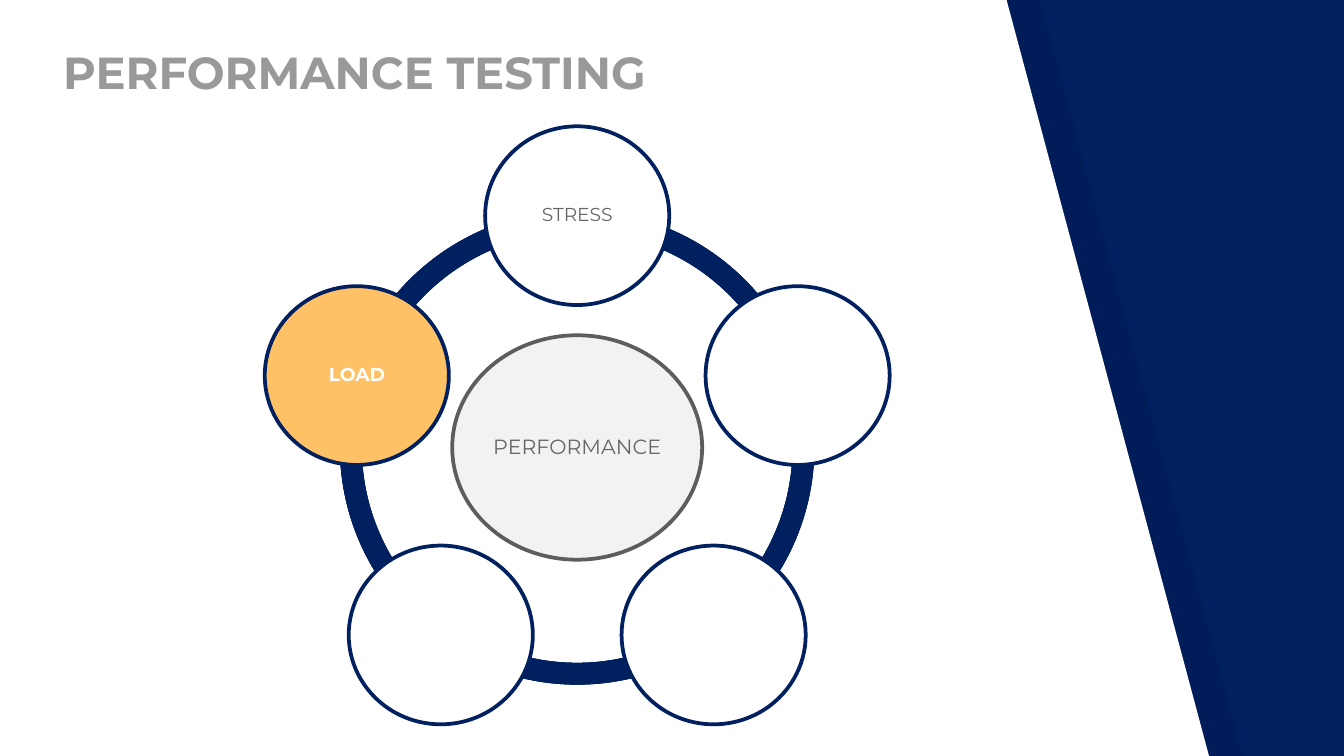
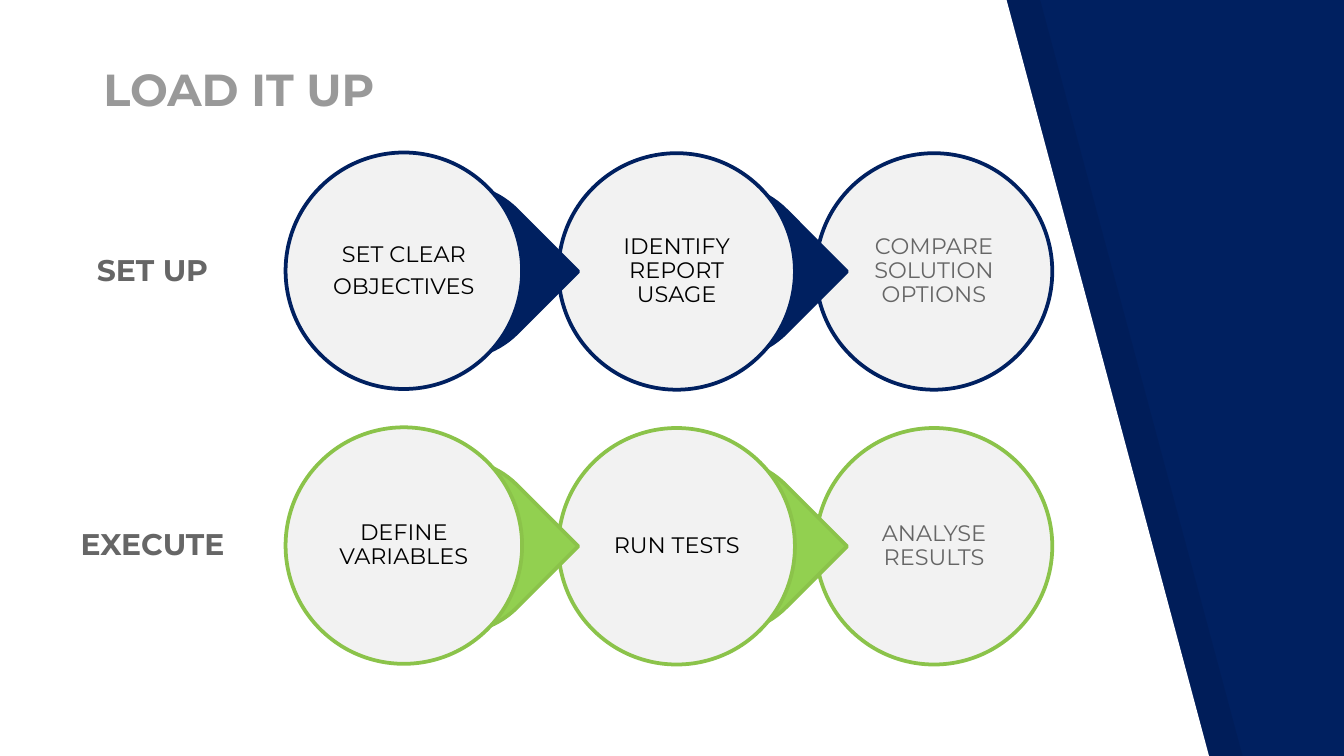
"""Build two slides on performance testing."""
from dataclasses import dataclass
from math import cos, radians, sin

from lxml.etree import SubElement
from pptx import Presentation
from pptx.dml.color import RGBColor
from pptx.enum.shapes import MSO_SHAPE
from pptx.enum.text import MSO_ANCHOR, MSO_AUTO_SIZE, PP_ALIGN
from pptx.oxml.ns import qn
from pptx.util import Emu, Pt

SCALE = 4572
WIDE, HIGH = 2000, 1125
FONT = "Montserrat"
NAVY = RGBColor(0x00, 0x20, 0x60)
BLACK = RGBColor(0x00, 0x00, 0x00)
WHITE = RGBColor(0xFF, 0xFF, 0xFF)
PALE = RGBColor(0xF2, 0xF2, 0xF2)
SILVER = RGBColor(0x99, 0x99, 0x99)
GREY = RGBColor(0x66, 0x66, 0x66)
DARK = RGBColor(0x5D, 0x5D, 0x5D)
AMBER = RGBColor(0xFF, 0xC1, 0x66)
LIME = RGBColor(0x92, 0xD0, 0x50)
GREEN = RGBColor(0x8B, 0xC3, 0x4A)


@dataclass(frozen=True)
class Box:
    left: int
    top: int
    width: int
    height: int

    def emu(self) -> tuple[Emu, ...]:
        return tuple(px(n) for n in (self.left, self.top, self.width, self.height))

    def inner(self, dx: int, dy: int) -> "Box":
        return Box(self.left + dx, self.top + dy,
                   self.width - 2 * dx, self.height - 2 * dy)


@dataclass(frozen=True)
class Node:
    angle: int
    label: str = ""
    fill: RGBColor = WHITE
    color: RGBColor = GREY
    bold: bool = False


@dataclass(frozen=True)
class Step:
    left: int
    shift: int
    color: RGBColor
    tip: int | None = None


@dataclass(frozen=True)
class Row:
    name: str
    top: int
    fill: RGBColor
    line: RGBColor
    labels: tuple[str, ...]


NODES = (
    Node(270, "STRESS"),
    Node(342),
    Node(54),
    Node(126),
    Node(198, "LOAD", AMBER, WHITE, True),
)
STEPS = (
    Step(425, -1, BLACK, 549),
    Step(831, 0, BLACK, 949),
    Step(1214, 0, GREY),
)
ROWS = (
    Row("SET UP", 228, NAVY, NAVY,
        ("SET CLEAR\nOBJECTIVES", "IDENTIFY REPORT USAGE", "COMPARE SOLUTION OPTIONS")),
    Row("EXECUTE", 637, LIME, GREEN,
        ("DEFINE VARIABLES", "RUN TESTS", "ANALYSE RESULTS")),
)


def px(count: int) -> Emu:
    return Emu(count * SCALE)


def write(frame, text: str, *, size: int, color: RGBColor, bold: bool = False,
          align=PP_ALIGN.CENTER, anchor=MSO_ANCHOR.MIDDLE, inset: int = 2,
          pitch: float = 0.9, after: float = 0.35) -> None:
    frame.text = text
    frame.word_wrap = True
    frame.auto_size = MSO_AUTO_SIZE.NONE
    frame.vertical_anchor = anchor
    frame.margin_left = frame.margin_right = px(inset)
    frame.margin_top = frame.margin_bottom = px(inset)
    for para in frame.paragraphs:
        para.alignment = align
        para.line_spacing = pitch
        para.space_before = Pt(0)
        para.space_after = Pt(size * after)
        for run in para.runs:
            font = run.font
            font.name, font.size, font.bold = FONT, Pt(size), bold
            font.color.rgb = color


def label(shapes, text: str, box: Box, **form) -> None:
    write(shapes.add_textbox(*box.emu()).text_frame, text, **form)


def draw(shapes, kind, box: Box, fill: RGBColor, line: RGBColor | None = None):
    shape = shapes.add_shape(kind, *box.emu())
    paint(shape, fill, line)
    return shape


def paint(shape, fill: RGBColor, line: RGBColor | None = None) -> None:
    shape.shadow.inherit = False
    shape.fill.solid()
    shape.fill.fore_color.rgb = fill
    if line is None:
        shape.line.fill.background()
    else:
        shape.line.color.rgb = line
        shape.line.width = Pt(2)


def panel(slide, left: int, fill: RGBColor, alpha: int | None = None):
    pen = slide.shapes.build_freeform(left, -2, scale=SCALE)
    pen.add_line_segments([(left, 1128), (left + 1800, 1128), (left + 1498, 0)])
    shape = pen.convert_to_shape()
    paint(shape, fill)
    if alpha is not None:
        tint = shape.fill._xPr.find(".//" + qn("a:srgbClr"))
        SubElement(tint, qn("a:alpha")).set("val", str(alpha * 1000))
    return shape


def dress(deck, slide) -> None:
    master = deck.slide_master
    master.background.fill.solid()
    master.background.fill.fore_color.rgb = NAVY
    bands = (panel(slide, 50, BLACK, 7), panel(slide, 0, WHITE))
    for num, band in enumerate(bands, 90):
        band.element.nvSpPr.cNvPr.set("id", str(num))
        master.shapes.element.append(band.element)


def head(slide, text: str, box: Box) -> None:
    title = slide.shapes.title
    title.left, title.top, title.width, title.height = box.emu()
    write(title.text_frame, text, size=24, color=SILVER, bold=True,
          align=PP_ALIGN.LEFT, anchor=MSO_ANCHOR.BOTTOM, inset=20, pitch=1.0, after=0)


def wheel(slide) -> None:
    shapes = slide.shapes.add_group_shape().shapes
    for node in NODES:
        arc = draw(shapes, MSO_SHAPE.BLOCK_ARC, Box(506, 313, 706, 706), NAVY)
        ends = (node.angle, (node.angle + 72) % 360)
        for num, angle in enumerate(ends):
            arc.adjustments[num] = angle / 0.6
        arc.adjustments[2] = 0.046
    hub = Box(673, 499, 372, 334)
    draw(shapes, MSO_SHAPE.OVAL, hub, PALE, DARK)
    label(shapes, "PERFORMANCE", hub.inner(54, 49), size=11, color=GREY, inset=4)
    for node in NODES:
        turn = radians(node.angle)
        disc = Box(round(722 + 345 * cos(turn)), round(533 + 345 * sin(turn)), 274, 266)
        draw(shapes, MSO_SHAPE.OVAL, disc, node.fill, NAVY)
        if node.label:
            label(shapes, node.label, disc.inner(40, 39), size=10,
                  color=node.color, bold=node.bold)


def chain(slide, row: Row) -> None:
    label(slide.shapes, row.name, Box(106, row.top + 60, 242, 232),
          size=16, color=GREY, bold=True)
    shapes = slide.shapes.add_group_shape().shapes
    for step, text in reversed(list(zip(STEPS, row.labels))):
        if step.tip is not None:
            drop = draw(shapes, MSO_SHAPE.TEAR, Box(step.tip, row.top + 47, 258, 258),
                        row.fill, row.line)
            drop.adjustments[0] = 1
            drop.rotation = 45
        disc = Box(step.left, row.top + step.shift, 352, 352)
        draw(shapes, MSO_SHAPE.OVAL, disc, PALE, row.line)
        label(shapes, text, disc.inner(50, 50), size=12, color=step.color, inset=3)


def main() -> None:
    deck = Presentation()
    deck.slide_width, deck.slide_height = px(WIDE), px(HIGH)
    plain = deck.slide_layouts[5]
    first, second = (deck.slides.add_slide(plain) for _ in range(2))
    dress(deck, first)
    head(first, "PERFORMANCE TESTING", Box(74, 60, 1316, 106))
    wheel(first)
    head(second, "LOAD IT UP", Box(134, 86, 1028, 106))
    for row in ROWS:
        chain(second, row)
    deck.save("out.pptx")


if __name__ == "__main__":
    main()
